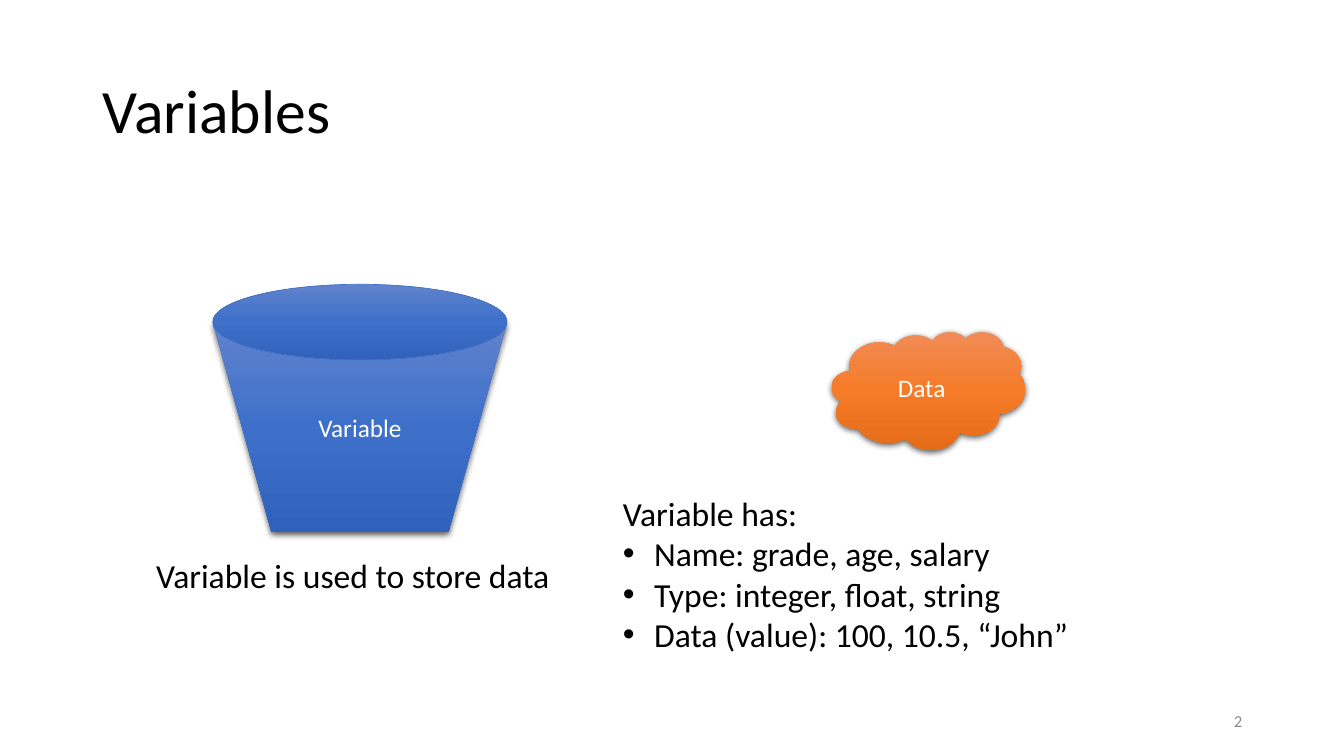
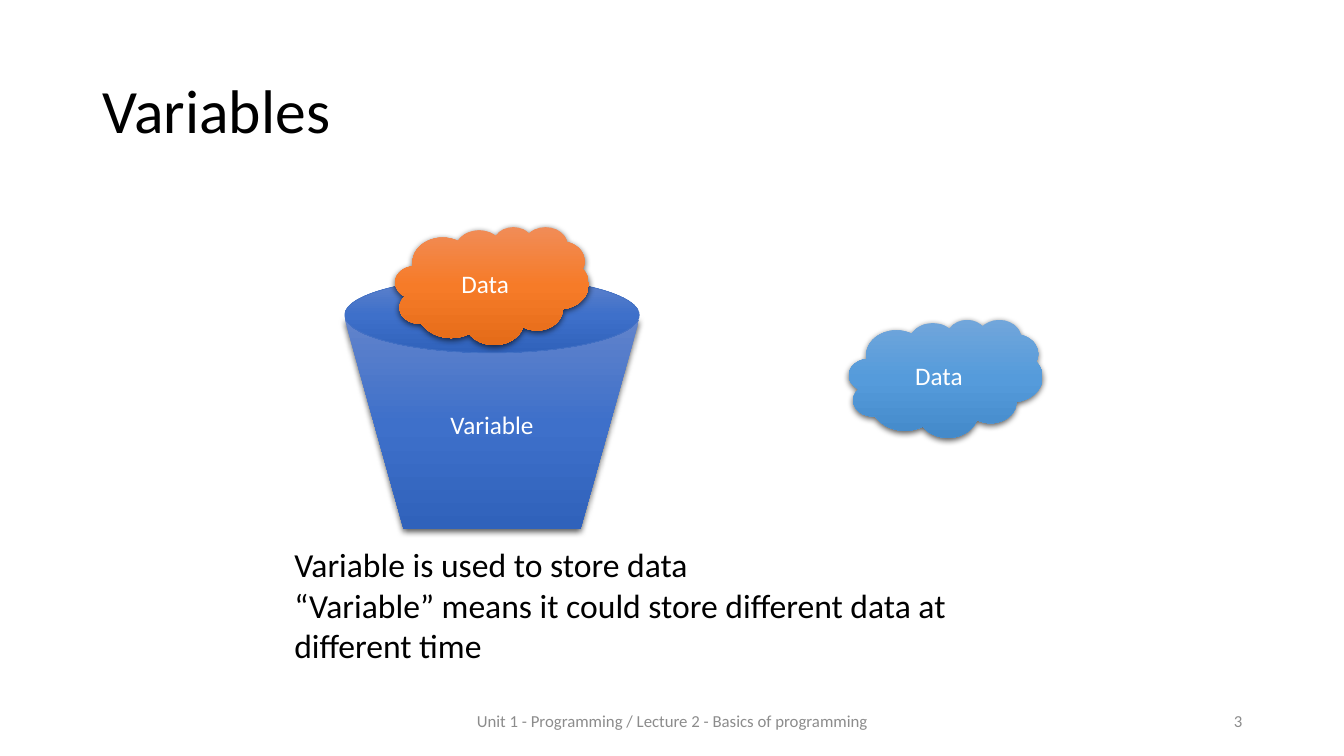
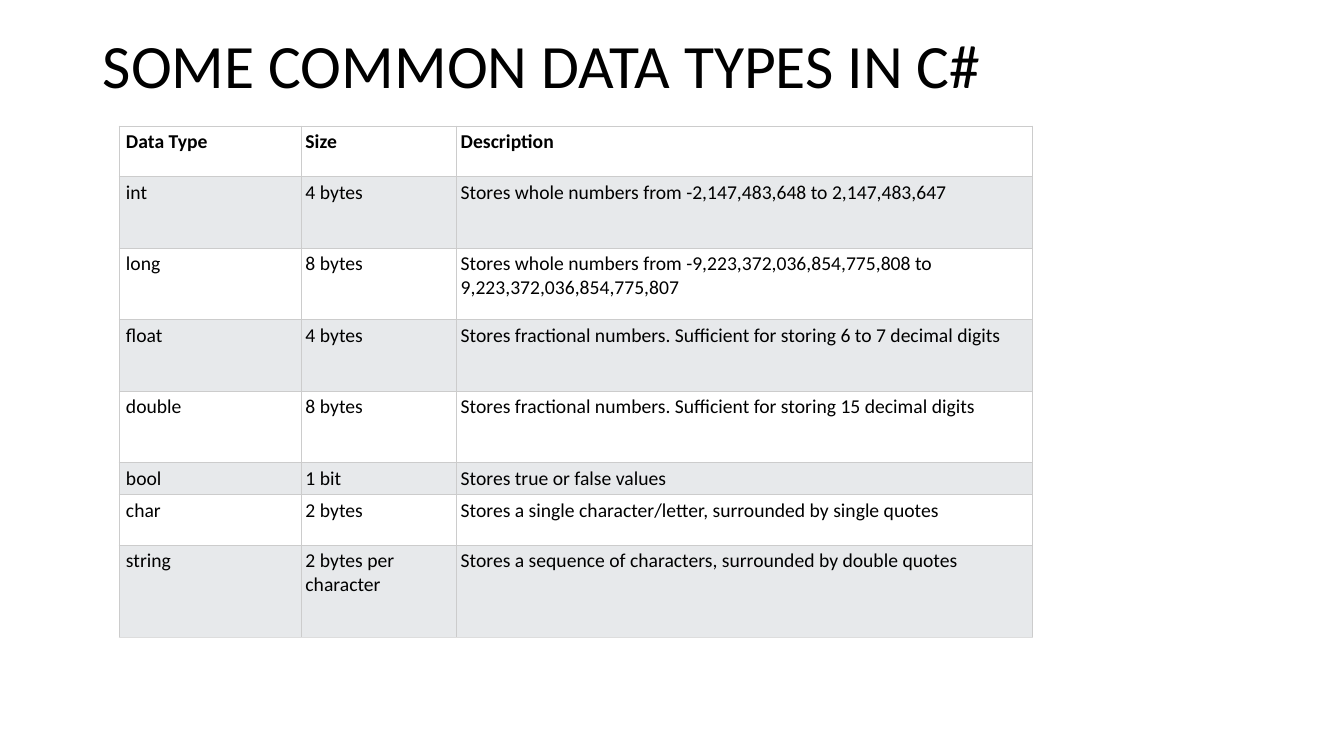
"""Build three lesson slides on variables and common C# data types."""
import copy
import dataclasses

import lxml.etree
import pptx
import pptx.dml.color
import pptx.enum.shapes
import pptx.enum.text
import pptx.oxml.ns
import pptx.util

Inches = pptx.util.Inches
Pt = pptx.util.Pt
RGBColor = pptx.dml.color.RGBColor
qn = pptx.oxml.ns.qn
Shapes = pptx.enum.shapes.MSO_SHAPE
Align = pptx.enum.text.PP_ALIGN
Anchor = pptx.enum.text.MSO_ANCHOR


@dataclasses.dataclass(frozen=True)
class Theme:
    font: str = "Calibri"
    ink: str = "000000"
    paper: str = "FFFFFF"
    muted: str = "8C8C8C"
    band: str = "E7E9EB"
    grid: str = "CCCCCC"
    grid_end: str = "DDDDDD"
    rim: str = "4472C4"
    blue: tuple = ("6183CB", "3E70CA", "3062BB")
    orange: tuple = ("F18C57", "F67B28", "E56C19")
    sky: tuple = ("71A6DB", "559BDB", "448ACA")
    title_size: int = 44
    body_size: int = 24
    label_size: int = 18
    table_size: int = 14
    footer_size: int = 12


theme = Theme()


def write(frame, text, size, color, align=Align.LEFT, anchor=Anchor.TOP):
    frame.text = text
    frame.word_wrap = True
    frame.vertical_anchor = anchor
    for para in frame.paragraphs:
        para.alignment = align
        for span in para.runs:
            span.font.name = theme.font
            span.font.size = Pt(size)
            span.font.color.rgb = RGBColor.from_string(color)


def add_gradient_shape(page, kind, left, top, width, height, tones, label=""):
    shape = page.shapes.add_shape(kind, Inches(left), Inches(top), Inches(width), Inches(height))
    shape.shadow.inherit = False
    shape.line.fill.background()
    shape.fill.gradient()
    shape.fill.gradient_angle = 270
    stop_list = next(shape._element.spPr.iter(qn("a:gsLst")))
    stop_list.append(copy.deepcopy(stop_list[0]))
    for stop, position, tone in zip(shape.fill.gradient_stops, (0, 0.5, 1), tones):
        stop.position = position
        stop.color.rgb = RGBColor.from_string(tone)
    if label:
        write(shape.text_frame, label, theme.label_size, theme.paper, Align.CENTER, Anchor.MIDDLE)
        effects = shape._element.spPr.find(qn("a:effectLst"))
        shadow = lxml.etree.SubElement(
            effects, qn("a:outerShdw"), blurRad=str(Pt(4.5)), dist=str(Pt(1.5)),
            dir="5400000", algn="ctr", rotWithShape="0")
        shade = lxml.etree.SubElement(shadow, qn("a:srgbClr"), val=theme.ink)
        lxml.etree.SubElement(shade, qn("a:alpha"), val="63000")
    return shape


deck = pptx.Presentation()
deck.slide_width = Inches(13.33)
deck.slide_height = Inches(7.5)

pages = []
for heading, top, height in (
    ("Variables", 0.4, 1.45),
    ("Variables", 0.4, 1.45),
    ("SOME COMMON DATA TYPES IN C#", 0.09, 1.17),
):
    page = deck.slides.add_slide(deck.slide_layouts[5])
    title = page.shapes.title
    title.left, title.top = Inches(0.92), Inches(top)
    title.width, title.height = Inches(11.5), Inches(height)
    write(title.text_frame, heading, theme.title_size, theme.ink, anchor=Anchor.MIDDLE)
    title.text_frame.paragraphs[0].line_spacing = 0.9
    pages.append(page)
intro_page, change_page, types_page = pages

for page, left, top, rim_top in (
    (intro_page, 2.11, 3.2, 2.82),
    (change_page, 3.42, 3.17, 2.75),
):
    add_gradient_shape(page, Shapes.FLOWCHART_MANUAL_OPERATION, left, top, 2.92, 2.08,
                       theme.blue, "Variable")
    rim = add_gradient_shape(page, Shapes.OVAL, left, rim_top, 2.92, 0.75, theme.blue)
    rim.line.color.rgb = RGBColor.from_string(theme.rim)
    rim.line.width = Pt(0.5)

for page, left, top, tones in (
    (intro_page, 8.25, 3.29, theme.orange),
    (change_page, 3.92, 2.25, theme.orange),
    (change_page, 8.42, 3.17, theme.sky),
):
    add_gradient_shape(page, Shapes.CLOUD, left, top, 1.92, 1.17, tones, "Data")

purpose = "Variable is used to store data"
parts = ("Variable has:", "Name: grade, age, salary", "Type: integer, float, string",
         "Data (value): 100, 10.5, “John”")
meaning = "“Variable” means it could store different data at different time"
for page, left, top, width, height, lines, bulleted in (
    (intro_page, 1.45, 5.46, 4.34, 0.5, (purpose,), False),
    (intro_page, 6.08, 4.84, 5.26, 1.72, parts, True),
    (change_page, 2.82, 5.35, 7.72, 1.31, (purpose, meaning), False),
):
    box = page.shapes.add_textbox(Inches(left), Inches(top), Inches(width), Inches(height))
    write(box.text_frame, "\n".join(lines), theme.body_size, theme.ink)
    if bulleted:
        for para in box.text_frame.paragraphs[1:]:
            props = para._p.get_or_add_pPr()
            props.set("marL", str(Inches(0.31)))
            props.set("indent", str(-Inches(0.31)))
            lxml.etree.SubElement(props, qn("a:buFont"), typeface="Arial")
            lxml.etree.SubElement(props, qn("a:buChar"), char="•")

for page, left, width, text, align in (
    (intro_page, 9.42, 3, "2", Align.RIGHT),
    (change_page, 4.42, 4.5, "Unit 1 - Programming / Lecture 2 - Basics of programming",
     Align.CENTER),
    (change_page, 9.42, 3, "3", Align.RIGHT),
):
    box = page.shapes.add_textbox(Inches(left), Inches(6.95), Inches(width), Inches(0.4))
    write(box.text_frame, text, theme.footer_size, theme.muted, align, Anchor.MIDDLE)

records = (
    (0.5, "Data Type", "Size", "Description"),
    (0.71, "int", "4 bytes", "Stores whole numbers from -2,147,483,648 to 2,147,483,647"),
    (0.71, "long", "8 bytes",
     "Stores whole numbers from -9,223,372,036,854,775,808 to 9,223,372,036,854,775,807"),
    (0.71, "float", "4 bytes",
     "Stores fractional numbers. Sufficient for storing 6 to 7 decimal digits"),
    (0.71, "double", "8 bytes",
     "Stores fractional numbers. Sufficient for storing 15 decimal digits"),
    (0.29, "bool", "1 bit", "Stores true or false values"),
    (0.5, "char", "2 bytes", "Stores a single character/letter, surrounded by single quotes"),
    (0.92, "string", "2 bytes per character",
     "Stores a sequence of characters, surrounded by double quotes"),
)
table = types_page.shapes.add_table(
    len(records), 3, Inches(1.18), Inches(1.25), Inches(9.06), Inches(5.08)).table
table.first_row = False
table.horz_banding = False
for column, width in zip(table.columns, (1.81, 1.54, 5.71)):
    column.width = Inches(width)
for row_index, (height, *texts) in enumerate(records):
    table.rows[row_index].height = Inches(height)
    for column_index, text in enumerate(texts):
        cell = table.cell(row_index, column_index)
        write(cell.text_frame, text, theme.table_size, theme.ink)
        cell.text_frame.paragraphs[0].runs[0].font.bold = row_index == 0
        cell.margin_left = Inches(0.04 if column_index else 0.07)
        cell.margin_right = cell.margin_top = cell.margin_bottom = Inches(0.04)
        props = cell._tc.get_or_add_tcPr()
        for side in ("lnL", "lnR", "lnT", "lnB"):
            at_end = side == "lnB" and row_index == len(records) - 1
            border = lxml.etree.SubElement(props, qn(f"a:{side}"), w=str(Pt(0.5)))
            paint = lxml.etree.SubElement(border, qn("a:solidFill"))
            lxml.etree.SubElement(paint, qn("a:srgbClr"),
                                  val=theme.grid_end if at_end else theme.grid)
        cell.fill.solid()
        cell.fill.fore_color.rgb = RGBColor.from_string(theme.band if row_index % 2 else theme.paper)

deck.save("out.pptx")
